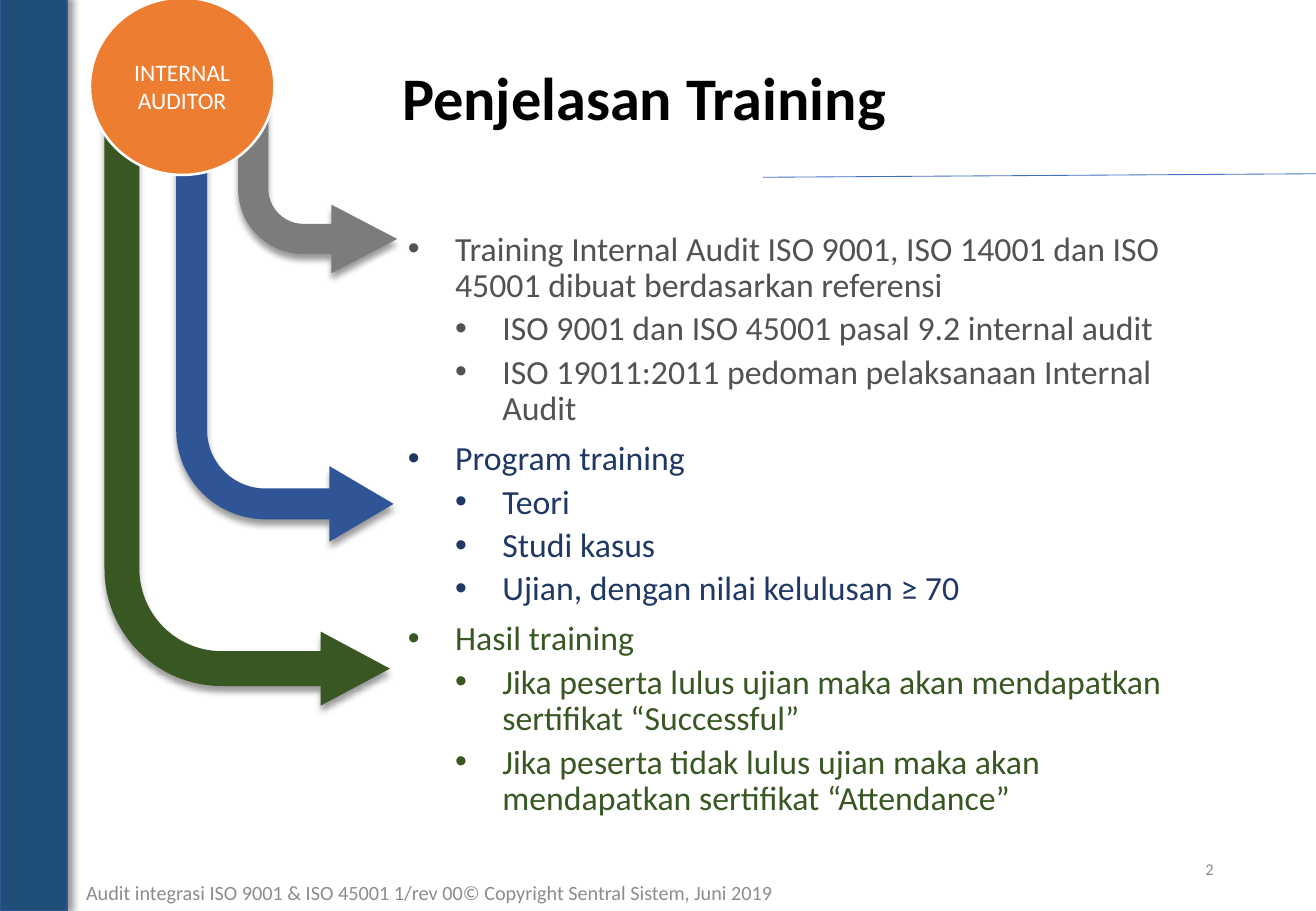
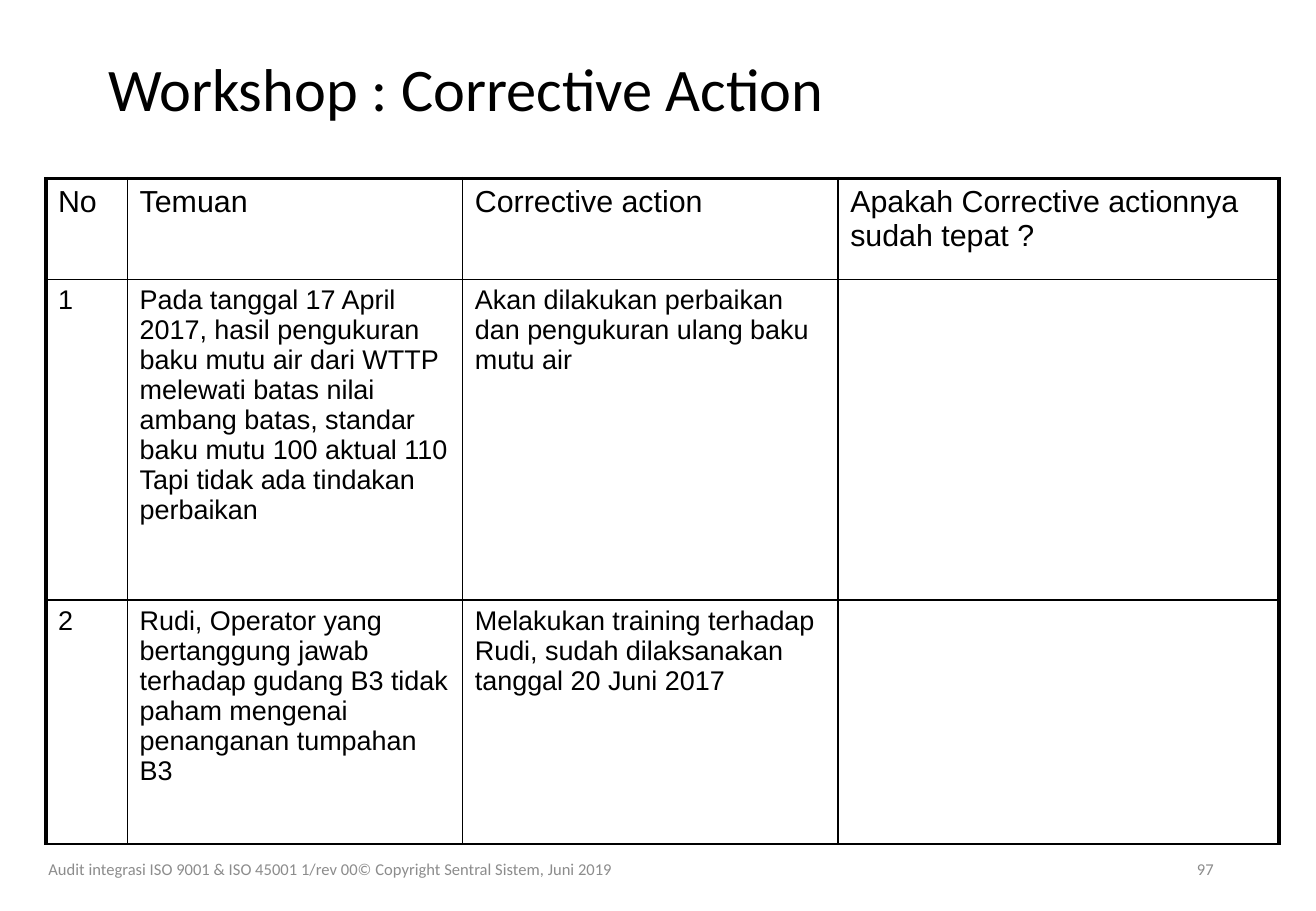
from lxml import etree
from pptx import Presentation
from pptx import util as u
from pptx.dml.color import RGBColor
from pptx.enum import shapes, text
from pptx.oxml import ns

Pt = u.Pt
COLORS = {
    "black": "000000", "white": "FFFFFF", "muted": "8C8C8C",
    "band": "1F4E79", "band_line": "325491", "rule": "4472C4",
    "badge": "ED7D31", "gray_arrow": "7C7C7C", "blue_arrow": "2F5597",
    "green": "385723", "gray_text": "525252", "blue_text": "203864",
}
FOOTER = "Audit integrasi ISO 9001 & ISO 45001 1/rev 00© Copyright Sentral Sistem, Juni 2019"
LEFT, CENTER, RIGHT = (text.PP_ALIGN.LEFT, text.PP_ALIGN.CENTER, text.PP_ALIGN.RIGHT)
TOP, MIDDLE = text.MSO_ANCHOR.TOP, text.MSO_ANCHOR.MIDDLE
INDENT = 28


def rgb(name):
    return RGBColor.from_string(COLORS[name])


def add_xml(parent, tag, **attributes):
    values = {key: str(value) for key, value in attributes.items()}
    return etree.SubElement(parent, ns.qn(tag), values)


def write(paragraph, content, size=20, font="Calibri", color="black", bold=False,
          align=LEFT, line_spacing=None, before=0, bullet_level=None):
    """Put formatted text into a paragraph."""
    if bullet_level is not None:
        properties = paragraph._p.get_or_add_pPr()
        properties.set("marL", str(Pt(INDENT * (bullet_level + 1))))
        properties.set("indent", str(-Pt(INDENT)))
        add_xml(properties, "a:buFont", typeface="Arial")
        add_xml(properties, "a:buChar", char="•")
    paragraph.alignment = align
    paragraph.space_before = Pt(before)
    if line_spacing:
        paragraph.line_spacing = line_spacing
    run = paragraph.add_run()
    run.text = content
    run.font.size = Pt(size)
    run.font.name = font
    run.font.bold = bold
    run.font.color.rgb = rgb(color)


def add_text_box(slide, left, top, width, height, anchor=TOP):
    frame = slide.shapes.add_textbox(Pt(left), Pt(top), Pt(width), Pt(height)).text_frame
    frame.word_wrap = True
    frame.vertical_anchor = anchor
    return frame


def add_shape(slide, kind, box, fill, line=None, line_width=1, shadow_angle=None):
    shape = slide.shapes.add_shape(kind, *map(Pt, box))
    shape.fill.solid()
    shape.fill.fore_color.rgb = rgb(fill)
    if line:
        shape.line.color.rgb = rgb(line)
        shape.line.width = Pt(line_width)
    else:
        shape.line.fill.background()
    shape.shadow.inherit = False
    if shadow_angle is not None:
        effects = shape._element.spPr.find(ns.qn("a:effectLst"))
        shadow = add_xml(effects, "a:outerShdw", blurRad=Pt(4), dist=Pt(3),
                         dir=shadow_angle * 60000, rotWithShape=0)
        color = add_xml(shadow, "a:srgbClr", val=COLORS["black"])
        add_xml(color, "a:alpha", val=40000)
    return shape


def add_bent_arrow(slide, box, fill, adjustments):
    """Arrow that drops down and turns right."""
    arrow = add_shape(slide, shapes.MSO_SHAPE.BENT_ARROW, box, fill, shadow_angle=90)
    for index, value in enumerate(adjustments):
        arrow.adjustments[index] = value
    arrow.rotation = 180
    arrow._element.spPr.find(ns.qn("a:xfrm")).set("flipH", "1")


def add_rule(slide, start, end, color, width):
    rule = slide.shapes.add_connector(shapes.MSO_CONNECTOR.STRAIGHT, *map(Pt, start + end))
    rule.line.color.rgb = rgb(color)
    rule.line.width = Pt(width)
    add_xml(rule._element.spPr, "a:effectLst")


def add_slide(presentation, title, title_box, number, footer_box, footer_size, bold=False):
    """Slide with its title, footer and page number."""
    slide = presentation.slides.add_slide(presentation.slide_layouts[5])
    shape = slide.shapes.title
    shape.left, shape.top, shape.width, shape.height = map(Pt, title_box)
    frame = shape.text_frame
    frame.auto_size = text.MSO_AUTO_SIZE.NONE
    frame.vertical_anchor = MIDDLE
    write(frame.paragraphs[0], title, size=35.8, bold=bold, line_spacing=0.9)
    footer = add_text_box(slide, *footer_box, anchor=MIDDLE)
    write(footer.paragraphs[0], FOOTER, size=footer_size, color="muted")
    page = add_text_box(slide, 550.8, 500.4, 175.7, 28.8, anchor=MIDDLE)
    write(page.paragraphs[0], number, size=9.8, color="muted", align=RIGHT)
    return slide


def add_outline(slide, box, groups):
    """Bulleted groups, each a heading with sub-items in one colour."""
    frame = add_text_box(slide, *box)
    paragraph = frame.paragraphs[0]
    first = True
    for color, heading, items in groups:
        for index, content in enumerate([heading, *items]):
            if not first:
                paragraph = frame.add_paragraph()
            level = 1 if index else 0
            before = 0 if first else (4.1 if level else 8.1)
            write(paragraph, content, color=color, line_spacing=0.9,
                  before=before, bullet_level=level)
            first = False


def set_borders(cell, widths):
    properties = cell._tc.get_or_add_tcPr()
    for side in "LRTB":
        line = add_xml(properties, "a:ln" + side, w=Pt(widths[side]))
        add_xml(add_xml(line, "a:solidFill"), "a:srgbClr", val=COLORS["black"])


def add_grid(slide, left, top, columns, heights, rows):
    """Unfilled table with a heavy frame at the top and sides."""
    graphic = slide.shapes.add_table(len(rows), len(columns), Pt(left), Pt(top),
                                     Pt(sum(columns)), Pt(sum(heights)))
    table = graphic.table
    table.first_row = table.horz_banding = False
    for column, width in zip(table.columns, columns):
        column.width = Pt(width)
    for row_index, (row, height, contents) in enumerate(zip(table.rows, heights, rows)):
        row.height = Pt(height)
        for column_index, content in enumerate(contents):
            cell = table.cell(row_index, column_index)
            set_borders(cell, {
                "L": 1 if column_index else 2.25,
                "R": 2.25 if column_index == len(columns) - 1 else 1,
                "T": 1 if row_index else 2.25,
                "B": 1,
            })
            cell.fill.background()
            if content:
                write(cell.text_frame.paragraphs[0], content,
                      size=16 if row_index else 18, font="Arial")


def build_training(presentation):
    slide = add_slide(presentation, "Penjelasan Training", (231.1, 15.1, 469.4, 90), "2",
                      (43.9, 516.2, 488.2, 25.2), 12, bold=True)
    add_outline(slide, (234.7, 134, 491.8, 355.6), [
        ("gray_text",
         "Training Internal Audit ISO 9001, ISO 14001 dan ISO 45001 dibuat berdasarkan referensi",
         ["ISO 9001 dan ISO 45001 pasal 9.2 internal audit",
          "ISO 19011:2011 pedoman pelaksanaan Internal Audit"]),
        ("blue_text", "Program training",
         ["Teori", "Studi kasus", "Ujian, dengan nilai kelulusan ≥ 70"]),
        ("green", "Hasil training",
         ["Jika peserta lulus ujian maka akan mendapatkan sertifikat “Successful”",
          "Jika peserta tidak lulus ujian maka akan mendapatkan sertifikat “Attendance”"]),
    ])

    # Arrows from the badge to each group
    for box, fill, adjustments in [
        ((141.1, 31.7, 94.3, 130.3), "gray_arrow", (0.19, 0.216, 0.414, 0.411)),
        ((104.4, 0, 128.9, 321.1), "blue_arrow", (0.142, 0.174, 0.296, 0.411)),
        ((61.9, 31.7, 169.2, 386.6), "green", (0.122, 0.13, 0.243, 0.411)),
    ]:
        add_bent_arrow(slide, box, fill, adjustments)

    badge = add_shape(slide, shapes.MSO_SHAPE.OVAL, (53.3, -1.4, 109.4, 105.1),
                      "badge", "white", 1.5)
    badge.text_frame.word_wrap = True
    badge.text_frame.vertical_anchor = MIDDLE
    write(badge.text_frame.paragraphs[0], "INTERNAL AUDITOR", size=14,
          color="white", align=CENTER)

    # Side band and title rule
    add_shape(slide, shapes.MSO_SHAPE.RECTANGLE, (0, -1.4, 39.6, 541.4),
              "band", "band_line", shadow_angle=0)
    add_rule(slide, (452.2, 105.1), (780, 103), "rule", 0.5)


def build_workshop(presentation):
    slide = add_slide(presentation, "Workshop : Corrective Action", (56.9, 9.4, 702, 90), "97",
                      (21.6, 500.4, 500.4, 28.8), 9.8)
    add_grid(slide, 27.2, 105.8, (48.4, 198.7, 222.5, 261.4), (59.8, 190.1, 144.7), [
        ("No", "Temuan", "Corrective action", "Apakah Corrective actionnya sudah tepat ?"),
        ("1", "Pada tanggal 17 April 2017, hasil pengukuran baku mutu air dari WTTP melewati "
              "batas nilai ambang batas, standar baku mutu 100 aktual 110 Tapi tidak ada "
              "tindakan perbaikan",
         "Akan dilakukan perbaikan dan pengukuran ulang baku mutu air", ""),
        ("2", "Rudi, Operator yang bertanggung jawab terhadap gudang B3 tidak paham mengenai "
              "penanganan tumpahan B3",
         "Melakukan training terhadap Rudi, sudah dilaksanakan tanggal 20 Juni 2017", ""),
    ])


def main():
    presentation = Presentation()
    presentation.slide_width, presentation.slide_height = Pt(780), Pt(540)
    build_training(presentation)
    build_workshop(presentation)
    presentation.save("out.pptx")


if __name__ == "__main__":
    main()
